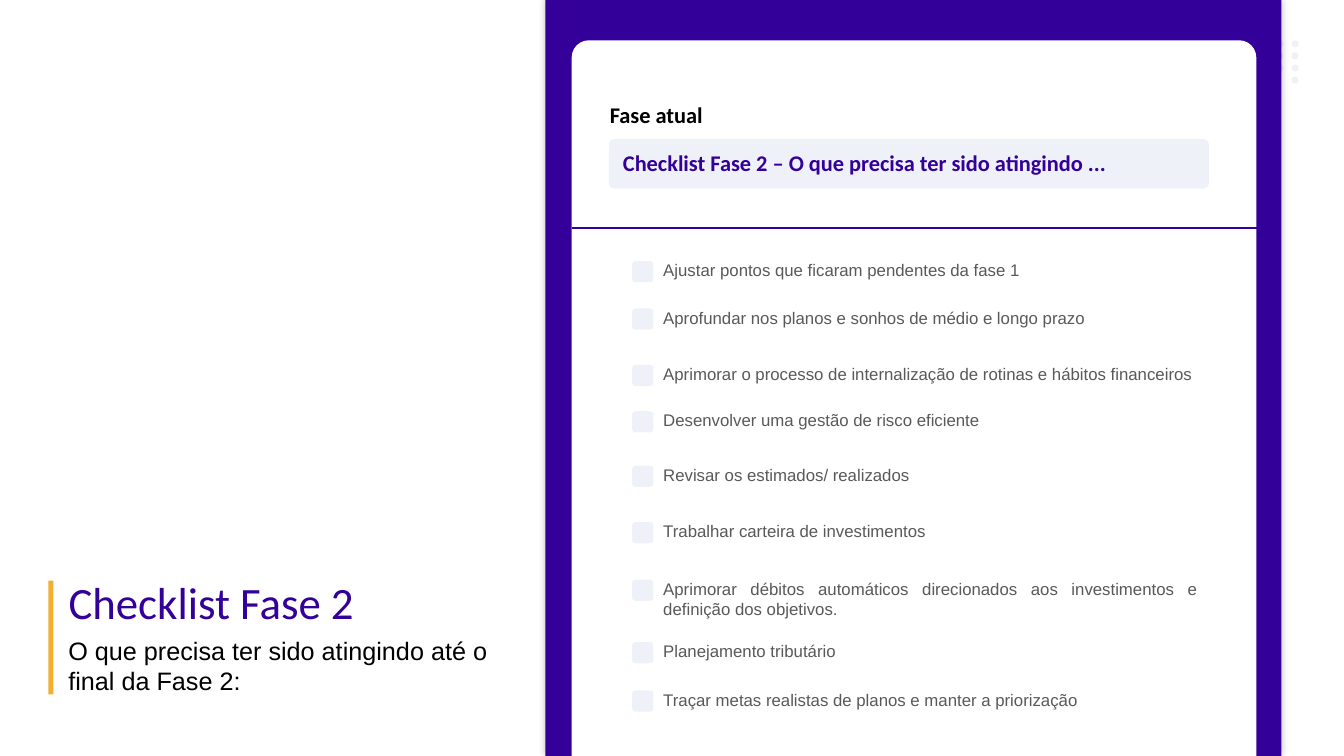
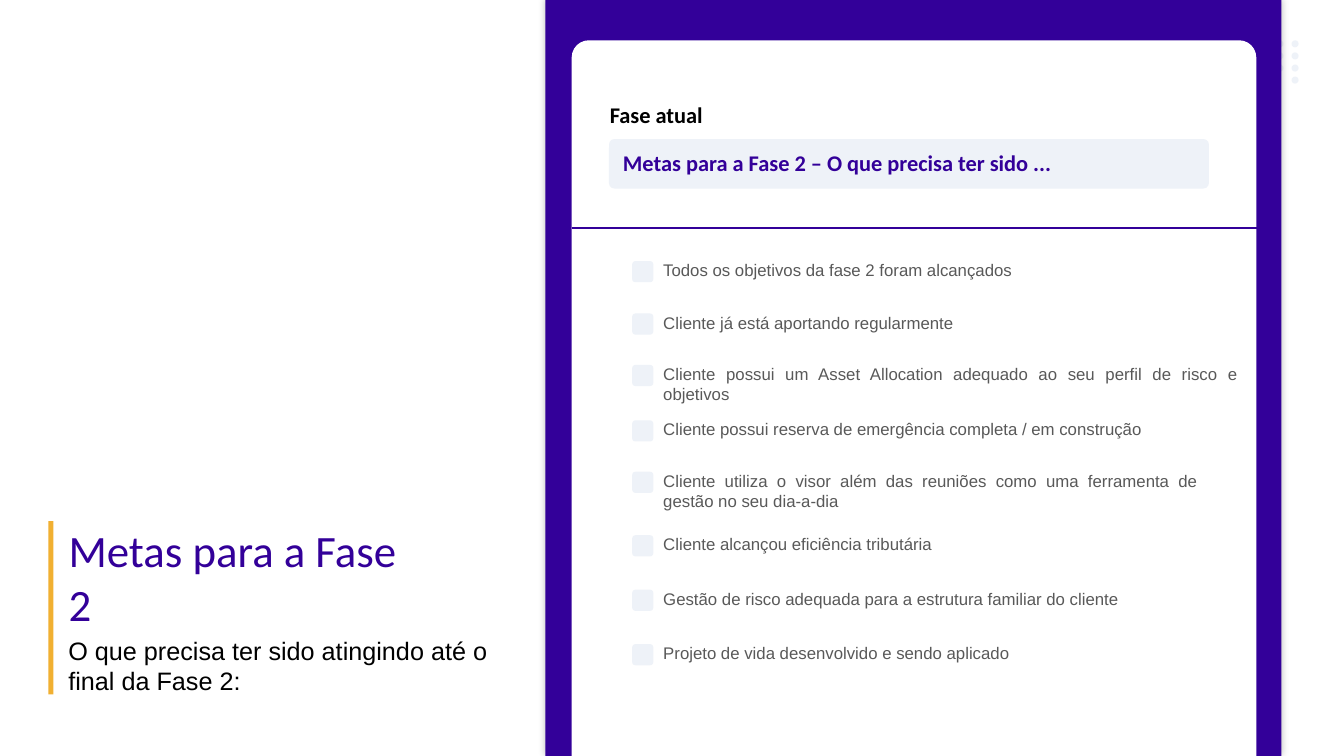
"""Builds two phase checklist slides with a shared title area and card panel."""
import pptx
import pptx.dml.color
import pptx.enum.shapes
import pptx.enum.text
import pptx.oxml
import pptx.oxml.ns
import pptx.util

Inches = pptx.util.Inches
Pt = pptx.util.Pt
RGBColor = pptx.dml.color.RGBColor
SHAPE = pptx.enum.shapes.MSO_SHAPE
ALIGN = pptx.enum.text.PP_ALIGN

PURPLE = RGBColor(0x33, 0x00, 0x99)
AMBER = RGBColor(0xF1, 0xB0, 0x32)
PALE = RGBColor(0xEE, 0xF2, 0xF8)
PALE_BOX = RGBColor(0xEE, 0xF2, 0xF8)
GREY = RGBColor(0x59, 0x59, 0x59)
BLACK = RGBColor(0x00, 0x00, 0x00)
WHITE = RGBColor(0xFF, 0xFF, 0xFF)

HEADING = "Calibri"
BODY = "Arial"
SUBTITLE = "O que precisa ter sido atingindo até o final da Fase 2:"
LABEL = "Fase atual"
BAR_BOTTOM = 6.89
NORMAL, WIDE = 5.5, 5.9

SLIDES = [
    {
        "title": "Checklist Fase 2",
        "title_top": 5.65,
        "bar_top": 5.76,
        "phase": "Checklist Fase 2 – O que precisa ter sido atingindo ...",
        "items": [
            (2.53, NORMAL, "Ajustar pontos que ficaram pendentes da fase 1"),
            (3.00, NORMAL, "Aprofundar nos planos e sonhos de médio e longo prazo"),
            (3.56, WIDE, "Aprimorar o processo de internalização de rotinas e hábitos financeiros"),
            (4.02, WIDE, "Desenvolver uma gestão de risco eficiente"),
            (4.56, NORMAL, "Revisar os estimados/ realizados"),
            (5.12, NORMAL, "Trabalhar carteira de investimentos"),
            (5.69, NORMAL, "Aprimorar débitos automáticos direcionados aos investimentos "
                           "e definição dos objetivos."),
            (6.31, NORMAL, "Planejamento tributário"),
            (6.79, NORMAL, "Traçar metas realistas de planos e manter a priorização"),
        ],
    },
    {
        "title": "Metas para a Fase 2",
        "title_top": 5.14,
        "bar_top": 5.17,
        "phase": "Metas para a Fase 2 – O que precisa ter sido ...",
        "items": [
            (2.53, NORMAL, "Todos os objetivos da fase 2 foram alcançados"),
            (3.05, NORMAL, "Cliente já está aportando regularmente"),
            (3.56, WIDE, "Cliente possui um Asset Allocation adequado ao seu perfil de risco "
                         "e objetivos"),
            (4.11, WIDE, "Cliente possui reserva de emergência completa / em construção"),
            (4.62, NORMAL, "Cliente utiliza o visor além das reuniões como uma ferramenta "
                           "de gestão no seu dia-a-dia"),
            (5.25, NORMAL, "Cliente alcançou eficiência tributária"),
            (5.79, NORMAL, "Gestão de risco adequada para a estrutura familiar do cliente"),
            (6.33, NORMAL, "Projeto de vida desenvolvido e sendo aplicado"),
        ],
    },
]


def place(shape, left, top, width, height):
    shape.left, shape.top = Inches(left), Inches(top)
    shape.width, shape.height = Inches(width), Inches(height)


def write(shape, text, size, font, color, bold=False, align=ALIGN.LEFT):
    frame = shape.text_frame
    frame.text = text
    frame.word_wrap = True
    frame.auto_size = pptx.enum.text.MSO_AUTO_SIZE.NONE
    frame.vertical_anchor = pptx.enum.text.MSO_ANCHOR.TOP
    para = frame.paragraphs[0]
    para.alignment = align
    span = para.runs[0]
    span.font.size = Pt(size)
    span.font.name = font
    span.font.bold = bold
    span.font.color.rgb = color


def add_text(page, area, *style, **options):
    box = page.shapes.add_textbox(*map(Inches, area))
    write(box, *style, **options)


def add_block(page, kind, area, color, *adjustments):
    block = page.shapes.add_shape(kind, *map(Inches, area))
    block.shadow.inherit = False
    block.fill.solid()
    block.fill.fore_color.rgb = color
    block.line.fill.background()
    for index, value in enumerate(adjustments):
        block.adjustments[index] = value
    return block


def add_glow(block):
    effects = block._element.spPr.find(pptx.oxml.ns.qn("a:effectLst"))
    effects.append(pptx.oxml.parse_xml(
        f'<a:outerShdw {pptx.oxml.ns.nsdecls("a")} blurRad="{Pt(5)}" dist="0" dir="0">'
        '<a:srgbClr val="000000"><a:alpha val="24000"/></a:srgbClr></a:outerShdw>'))


def add_rule(page, left, right, top):
    rule = page.shapes.add_connector(
        pptx.enum.shapes.MSO_CONNECTOR.STRAIGHT,
        Inches(left), Inches(top), Inches(right), Inches(top))
    rule.line.color.rgb = PURPLE
    rule.line.width = Pt(1.5)
    rule._element.spPr.append(
        pptx.oxml.parse_xml(f'<a:effectLst {pptx.oxml.ns.nsdecls("a")}/>'))


def add_panel(page, phase):
    for left, count in ((12.66, 3), (12.81, 4)):
        for row in range(count):
            add_block(page, SHAPE.OVAL, (left, 0.4 + row * 0.12, 0.07, 0.07), PALE)
    add_glow(add_block(page, SHAPE.RECTANGLE, (5.41, 0, 7.3, 7.5), PURPLE))
    add_block(page, SHAPE.ROUND_2_SAME_RECTANGLE, (5.67, 0.4, 6.79, 7.1), WHITE, 0.025, 0)
    add_text(page, (5.95, 0.95, 3.66, 0.37), LABEL, 16, HEADING, BLACK, bold=True)
    add_block(page, SHAPE.ROUNDED_RECTANGLE, (6.04, 1.38, 5.95, 0.49), PALE, 0.11)
    add_text(page, (6.08, 1.43, 5.75, 0.37), phase, 16, HEADING, PURPLE, bold=True)
    add_rule(page, 5.67, 12.55, 2.26)


def add_heading(page, title, title_top, bar_top):
    place(page.shapes.title, 0.58, title_top, 3.66, 1.18)
    write(page.shapes.title, title, 32, HEADING, PURPLE)
    add_text(page, (0.58, 6.25, 4.66, 0.71), SUBTITLE, 18, BODY, BLACK)
    add_block(page, SHAPE.RECTANGLE, (0.48, bar_top, 0.05, BAR_BOTTOM - bar_top), AMBER)


def add_item(page, top, width, text):
    add_block(page, SHAPE.ROUNDED_RECTANGLE, (6.27, top + 0.06, 0.21, 0.21), PALE, 0.155)
    add_text(page, (6.48, top, width, 0.3), text, 12, BODY, GREY, align=ALIGN.JUSTIFY)


def main():
    deck = pptx.Presentation()
    deck.slide_width, deck.slide_height = Inches(13.33), Inches(7.5)
    for content in SLIDES:
        page = deck.slides.add_slide(deck.slide_layouts[5])
        add_panel(page, content["phase"])
        add_heading(page, content["title"], content["title_top"], content["bar_top"])
        for item in content["items"]:
            add_item(page, *item)
    deck.save("out.pptx")


if __name__ == "__main__":
    main()
